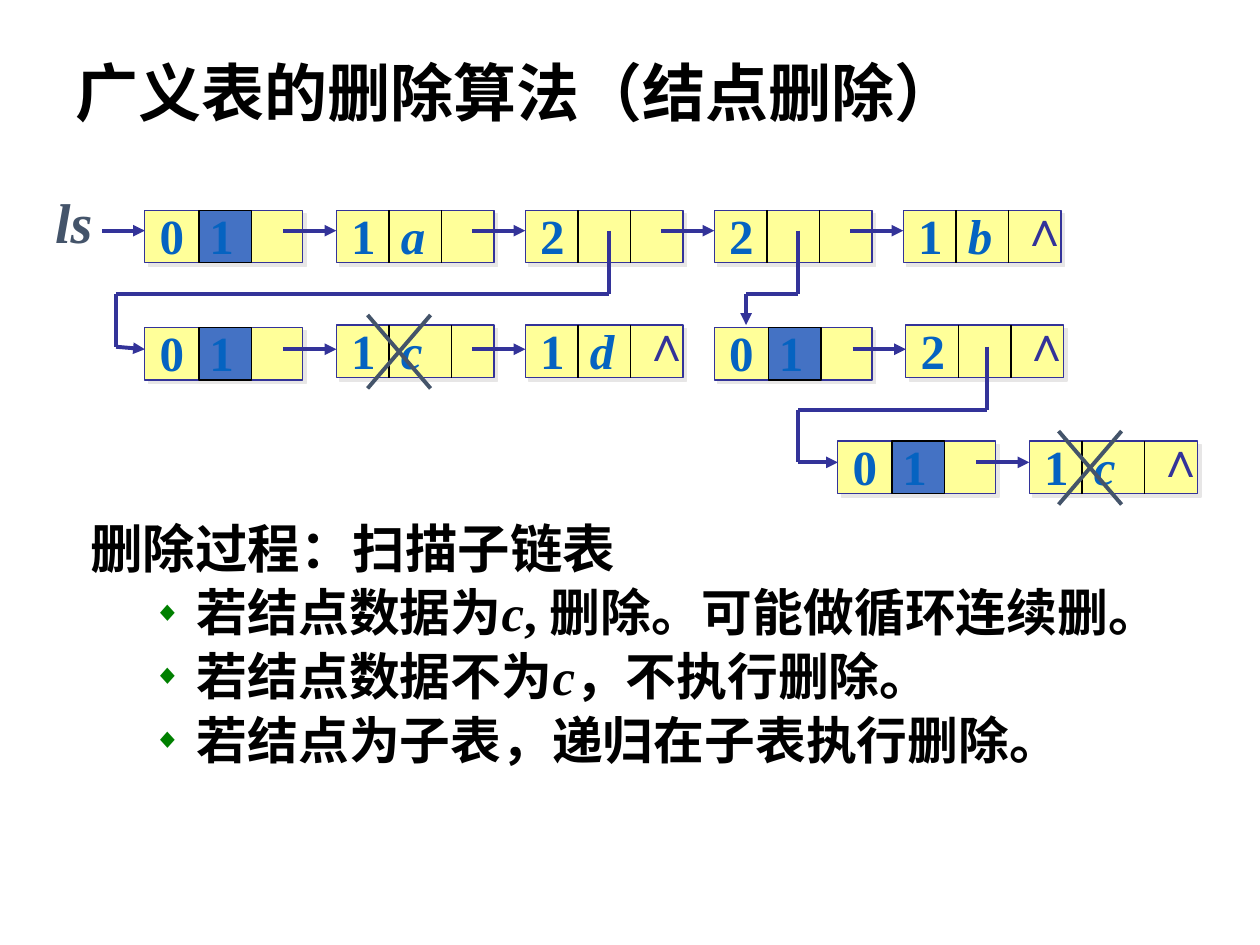
from lxml.etree import SubElement
from pptx import Presentation
from pptx.dml.color import RGBColor
from pptx.enum.shapes import MSO_CONNECTOR as Connector, MSO_SHAPE as Shape
from pptx.enum.text import MSO_ANCHOR as Anchor, MSO_AUTO_SIZE as AutoSize, PP_ALIGN as Align
from pptx.oxml.ns import qn
from pptx.util import Cm, Pt

SERIF = "Times New Roman"
BLACK, NAVY, SLATE, BLUE = "000000", "333399", "44546A", "0563C1"
NODE_FILL, HEAD_FILL, SHADOW, GREEN = "FFFF99", "4472C4", "E7E6E6", "008000"

# Lengths are in centimetres
NODE_WIDTH, NODE_HEIGHT, CELL, LINK = 3.18, 1.06, 1.06, 1.07
NIL = "∧"

# Each chain: height of its arrows, then (left, top, tag, data, is last, extra width)
CHAINS = [
    (4.65, [(2.92, 4.24, "0", "1", False, 0),
            (6.78, 4.24, "1", "a", False, 0),
            (10.59, 4.24, "2", "", False, 0),
            (14.4, 4.24, "2", "", False, 0),
            (18.21, 4.24, "1", "b", True, 0)]),
    (7.04, [(2.92, 6.6, "0", "1", False, 0),
            (6.78, 6.55, "1", "c", False, 0),
            (10.59, 6.55, "1", "d", True, 0)]),
    (7.04, [(14.4, 6.6, "0", "1", False, 0),
            (18.26, 6.55, "2", "", True, 0)]),
    (9.32, [(16.89, 8.89, "0", "1", False, 0),
            (20.75, 8.89, "1", "c", True, 0.21)]),
]

# Bent links from a node to its sublist; the last stretch has the arrowhead
SUBLIST_LINKS = [
    [(2.06, 4.65), (2.92, 4.65)],
    [(12.27, 4.65), (12.27, 5.92), (2.34, 5.92), (2.34, 6.99), (2.92, 7.04)],
    [(16.08, 4.65), (16.08, 5.92), (15.04, 5.92), (15.04, 6.55)],
    [(19.89, 6.99), (19.89, 8.26), (16.08, 8.26), (16.08, 9.32), (16.89, 9.32)],
]

CROSSES = [(7.41, 6.35), (21.34, 8.69)]

BULLETS = [
    (" 若结点数据为", "c", ", 删除。可能做循环连续删。"),
    (" 若结点数据不为", "c", "，不执行删除。"),
    (" 若结点为子表，递归在子表执行删除。",),
]


def color(value):
    return RGBColor.from_string(value)


def set_font(paragraph, size, value, name=SERIF):
    font = paragraph.font
    font.size, font.name, font.bold = Pt(size), name, True
    font.color.rgb = color(value)


def add_runs(paragraph, parts):
    """Add runs; single Latin letters are variables and stand in italics."""
    for part in parts:
        run = paragraph.add_run()
        run.text = part
        run.font.italic = part.strip() in ("a", "b", "c", "d", "ls")


def add_label(slide, left, top, width, parts, size=28, value=BLUE):
    box = slide.shapes.add_textbox(Cm(left), Cm(top), Cm(width), Cm(1.45))
    frame = box.text_frame
    frame.word_wrap = True
    frame.margin_right = 0
    paragraph = frame.paragraphs[0]
    # The second field starts at a tab stop
    tabs = SubElement(paragraph._p.get_or_add_pPr(), qn("a:tabLst"))
    SubElement(tabs, qn("a:tab"), pos=str(Cm(1)), algn="l")
    set_font(paragraph, size, value)
    add_runs(paragraph, parts)


def add_line(slide, start, end, value=NAVY, width=2.25, arrow=False):
    line = slide.shapes.add_connector(
        Connector.STRAIGHT, *(Cm(length) for length in (*start, *end)))
    line.line.color.rgb = color(value)
    line.line.width = Pt(width)
    if arrow:
        SubElement(line.line._get_or_add_ln(), qn("a:tailEnd"), type="triangle")
    SubElement(line._element.spPr, qn("a:effectLst"))


def add_box(slide, left, top, width, fill, outline):
    box = slide.shapes.add_shape(
        Shape.RECTANGLE, Cm(left), Cm(top), Cm(width), Cm(NODE_HEIGHT))
    box.shadow.inherit = False
    box.fill.solid()
    box.fill.fore_color.rgb = color(fill)
    box.line.color.rgb = color(outline)
    box.line.width = Pt(0.75)
    return box


def add_node(slide, left, top, tag, data, is_last, extra):
    width = NODE_WIDTH + extra
    box = add_box(slide, left, top, width, NODE_FILL, NAVY)
    effects = box._element.spPr.find(qn("a:effectLst"))
    shadow = SubElement(effects, qn("a:outerShdw"), dist=str(Pt(2.8)),
                        dir="2700000", algn="ctr", rotWithShape="0")
    SubElement(shadow, qn("a:srgbClr"), val=SHADOW)

    # Fields of the node
    if tag == "0":
        add_box(slide, left + 1.09, top, CELL, HEAD_FILL, BLACK)
    else:
        second = 2.32 if data == "c" else 2 * CELL
        for offset in (CELL, second):
            add_line(slide, (left + offset, top),
                     (left + offset, top + NODE_HEIGHT), BLACK, 0.75)
    parts = [tag + "\t", data] if data else [tag]
    add_label(slide, left + 0.05, top - 0.22, 2.2, parts)
    if is_last:
        add_label(slide, left + width - 1.07, top - 0.38, 1.12, [NIL], value=NAVY)


def add_path(slide, points):
    for index, (start, end) in enumerate(zip(points, points[1:]), 2):
        add_line(slide, start, end, arrow=index == len(points))


def add_cross(slide, left, top, width=1.27, height=1.48):
    right, bottom = left + width, top + height
    add_line(slide, (left, top), (right, bottom), SLATE)
    add_line(slide, (right, top), (left, bottom), SLATE)


def place(shape, left, top, width, height):
    shape.left, shape.top = Cm(left), Cm(top)
    shape.width, shape.height = Cm(width), Cm(height)
    shape.text_frame.auto_size = AutoSize.NONE


def fill_title(title):
    place(title, 1.27, 0.89, 22.86, 2.11)
    title.text_frame.vertical_anchor = Anchor.MIDDLE
    paragraph = title.text_frame.paragraphs[0]
    paragraph.alignment = Align.LEFT
    paragraph.line_spacing = 0.9
    set_font(paragraph, 36, BLACK, "Calibri")
    paragraph.add_run().text = "广义表的删除算法（结点删除）"


def format_item(paragraph, size, before, bullet):
    paragraph.line_spacing = 0.9
    paragraph.space_before = Pt(before)
    properties = paragraph._p.get_or_add_pPr()
    properties.set("marL", str(Cm(1.91) if bullet else 0))
    properties.set("indent", str(Cm(-0.64) if bullet else 0))
    if bullet:
        paragraph.level = 1
        tint = SubElement(properties, qn("a:buClr"))
        SubElement(tint, qn("a:srgbClr"), val=GREEN)
        SubElement(properties, qn("a:buSzPct"), val="55000")
        SubElement(properties, qn("a:buChar"), char="◆")
    else:
        SubElement(properties, qn("a:buNone"))
    set_font(paragraph, size, BLACK)


def fill_body(body):
    place(body, 1.57, 10.41, 23.24, 6.96)
    frame = body.text_frame
    heading = frame.paragraphs[0]
    format_item(heading, 30, 10, False)
    add_runs(heading, ["删除过程：扫描子链表"])
    for parts in BULLETS:
        paragraph = frame.add_paragraph()
        format_item(paragraph, 29, 5, True)
        add_runs(paragraph, parts)


def main():
    presentation = Presentation()
    presentation.slide_width, presentation.slide_height = Cm(25.4), Cm(19.05)
    slide = presentation.slides.add_slide(presentation.slide_layouts[1])

    # Linked nodes
    for arrow_top, nodes in CHAINS:
        for index, node in enumerate(nodes):
            add_node(slide, *node)
            if index:
                left = node[0]
                add_path(slide, [(left - LINK, arrow_top), (left, arrow_top)])

    # List name, sublist links and deleted nodes
    add_label(slide, 0.86, 3.66, 1.5, ["ls"], 32, SLATE)
    for points in SUBLIST_LINKS:
        add_path(slide, points)
    for left, top in CROSSES:
        add_cross(slide, left, top)

    # Title and explanation
    fill_title(slide.shapes.title)
    fill_body(slide.placeholders[1])
    presentation.save("out.pptx")


if __name__ == "__main__":
    main()
